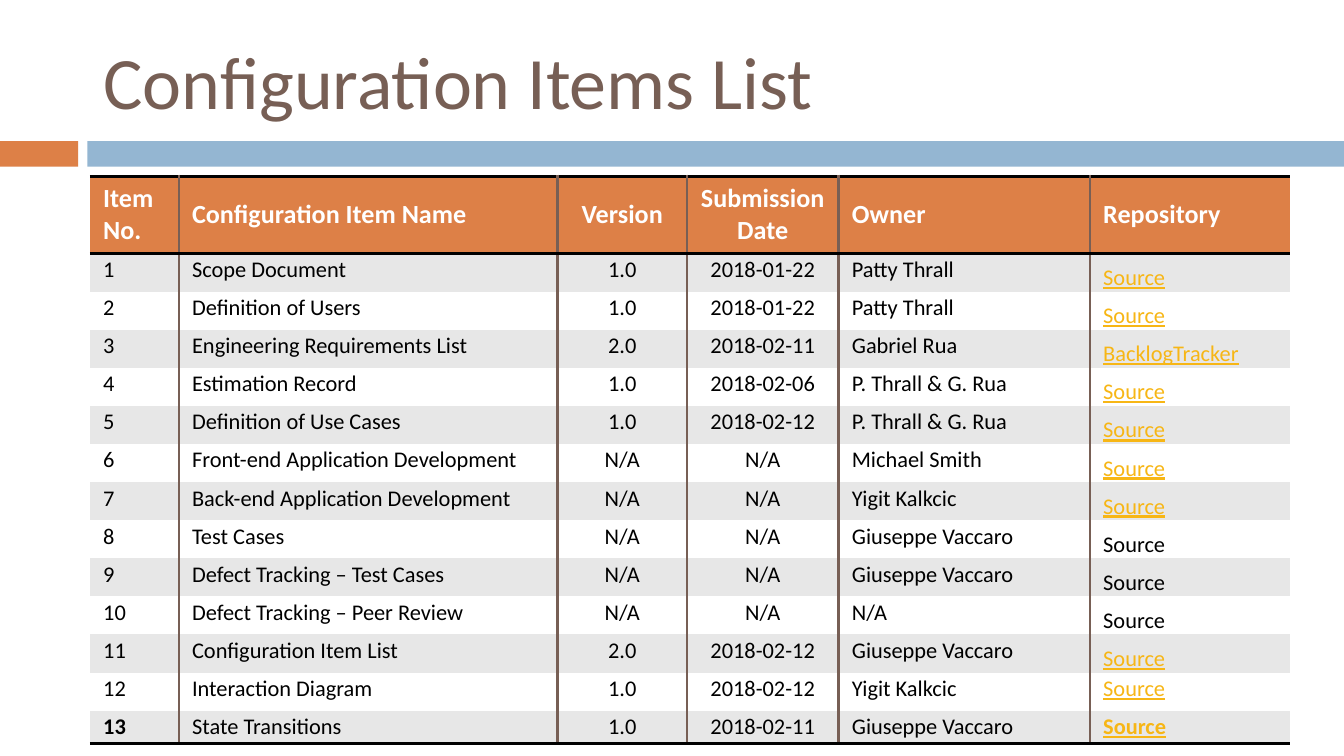
from lxml.etree import SubElement
from pptx import Presentation
from pptx.dml.color import RGBColor
from pptx.enum.shapes import MSO_SHAPE
from pptx.enum.text import MSO_ANCHOR, MSO_AUTO_SIZE, PP_ALIGN
from pptx.oxml.ns import qn
from pptx.util import Cm, Pt

BLACK, WHITE, GREY = "000000", "FFFFFF", "E7E7E7"
ORANGE, BLUE, BROWN, GOLD = "DD8047", "94B6D2", "775F55", "F7B615"

HEADERS = ["Item No.", "Configuration Item Name", "Version",
           "Submission Date", "Owner", "Repository"]
ITEMS = [
    ("Scope Document", "1.0", "2018-01-22", "Patty Thrall", "Source"),
    ("Definition of Users", "1.0", "2018-01-22", "Patty Thrall", "Source"),
    ("Engineering Requirements List", "2.0", "2018-02-11", "Gabriel Rua", "BacklogTracker"),
    ("Estimation Record", "1.0", "2018-02-06", "P. Thrall & G. Rua", "Source"),
    ("Definition of Use Cases", "1.0", "2018-02-12", "P. Thrall & G. Rua", "Source"),
    ("Front-end Application Development", "N/A", "N/A", "Michael Smith", "Source"),
    ("Back-end Application Development", "N/A", "N/A", "Yigit Kalkcic", "Source"),
    ("Test Cases", "N/A", "N/A", "Giuseppe Vaccaro", "Source"),
    ("Defect Tracking – Test Cases", "N/A", "N/A", "Giuseppe Vaccaro", "Source"),
    ("Defect Tracking – Peer Review", "N/A", "N/A", "N/A", "Source"),
    ("Configuration Item List", "2.0", "2018-02-12", "Giuseppe Vaccaro", "Source"),
    ("Interaction Diagram", "1.0", "2018-02-12", "Yigit Kalkcic", "Source"),
    ("State Transitions", "1.0", "2018-02-11", "Giuseppe Vaccaro", "Source"),
]
COLUMN_WIDTHS = [1.68, 7.16, 2.44, 2.87, 4.75, 3.78]
ROW_HEIGHTS = [1.45] + [0.72] * 12 + [0.61]
CENTRED_COLUMNS = (2, 3)
REPOSITORY = 5
UNLINKED_ROWS = (8, 9, 10)
LAST_ROW = len(ITEMS)


def color(hex_string):
    """Turn a hex string into a colour."""
    return RGBColor.from_string(hex_string)


def add_border(cell, side, line):
    """Draw one cell edge from (colour, points), or hide it for None."""
    properties = cell._tc.get_or_add_tcPr()
    edge = SubElement(properties, qn("a:ln" + side))
    if line is None:
        edge.set("w", "0")
        SubElement(edge, qn("a:noFill"))
        return
    edge.set("w", str(Pt(line[1])))
    fill = SubElement(edge, qn("a:solidFill"))
    SubElement(fill, qn("a:srgbClr")).set("val", line[0])


class SlideBuilder:
    """Holds the style and the current slide."""

    font = "Calibri"

    def __init__(self, presentation):
        """Start a slide that has only a title."""
        self.slide = presentation.slides.add_slide(presentation.slide_layouts[5])

    def style_text(self, paragraph, size, hex_string, align=PP_ALIGN.LEFT,
                   bold=False, underline=False):
        """Format a paragraph and its runs."""
        paragraph.alignment = align
        for run in paragraph.runs:
            run.font.name, run.font.size = self.font, Pt(size)
            run.font.bold, run.font.underline = bold, underline
            run.font.color.rgb = color(hex_string)

    def title(self, text, left, top, width, height):
        """Fill and place the title placeholder."""
        shape = self.slide.shapes.title
        shape.left, shape.top = Cm(left), Cm(top)
        shape.width, shape.height = Cm(width), Cm(height)
        frame = shape.text_frame
        frame.text = text
        frame.auto_size = MSO_AUTO_SIZE.NONE
        frame.vertical_anchor = MSO_ANCHOR.MIDDLE
        self.style_text(frame.paragraphs[0], 39.6, BROWN)

    def bar(self, left, top, width, height, hex_string):
        """Add a plain coloured bar."""
        shape = self.slide.shapes.add_shape(
            MSO_SHAPE.RECTANGLE, Cm(left), Cm(top), Cm(width), Cm(height))
        shape.shadow.inherit = False
        shape.fill.solid()
        shape.fill.fore_color.rgb = color(hex_string)
        shape.line.fill.background()

    def table(self, rows, left, top):
        """Add the items table."""
        table = self.slide.shapes.add_table(
            len(rows), len(COLUMN_WIDTHS), Cm(left), Cm(top),
            Cm(sum(COLUMN_WIDTHS)), Cm(sum(ROW_HEIGHTS))).table
        table.horz_banding = False
        for column, width in zip(table.columns, COLUMN_WIDTHS):
            column.width = Cm(width)
        for row, height in zip(table.rows, ROW_HEIGHTS):
            row.height = Cm(height)
        for row_index, values in enumerate(rows):
            for column_index, text in enumerate(values):
                self.cell(table.cell(row_index, column_index), text,
                          row_index, column_index)

    def cell(self, cell, text, row, column):
        """Write and format one table cell."""
        header = row == 0
        in_repository = column == REPOSITORY
        linked = in_repository and not header and row not in UNLINKED_ROWS
        low = in_repository and 0 < row < 12
        cell.text = text
        cell.margin_left = cell.margin_right = Cm(0.25)
        cell.margin_top = cell.margin_bottom = Cm(0.13 if header else 0 if low else 0.05)
        cell.vertical_anchor = (MSO_ANCHOR.MIDDLE if header else
                                MSO_ANCHOR.BOTTOM if low else MSO_ANCHOR.TOP)
        self.style_text(
            cell.text_frame.paragraphs[0], 14 if header else 12,
            WHITE if header else GOLD if linked else BLACK,
            PP_ALIGN.CENTER if column in CENTRED_COLUMNS else PP_ALIGN.LEFT,
            bold=header or (row == LAST_ROW and column in (0, REPOSITORY)),
            underline=linked)
        divider, rule = (BROWN, 1.5), (BLACK, 2)
        add_border(cell, "L", divider if column > 0 else None)
        add_border(cell, "R", divider if column < REPOSITORY else None)
        add_border(cell, "T", rule if row < 2 else None)
        add_border(cell, "B", rule if row in (0, LAST_ROW) else None)
        cell.fill.solid()
        cell.fill.fore_color.rgb = color(ORANGE if header else GREY if row % 2 else WHITE)


def main():
    """Build the slide and save it."""
    presentation = Presentation()
    presentation.slide_width, presentation.slide_height = Cm(25.4), Cm(14.29)
    builder = SlideBuilder(presentation)
    builder.bar(0, 2.67, 1.48, 0.48, ORANGE)
    builder.bar(1.65, 2.67, 23.75, 0.48, BLUE)
    builder.title("Configuration Items List", 1.7, 0.48, 22.66, 2.06)
    numbered = [(str(number), *item) for number, item in enumerate(ITEMS, 1)]
    builder.table([HEADERS] + numbered, 1.7, 3.33)
    presentation.save("out.pptx")


main()
